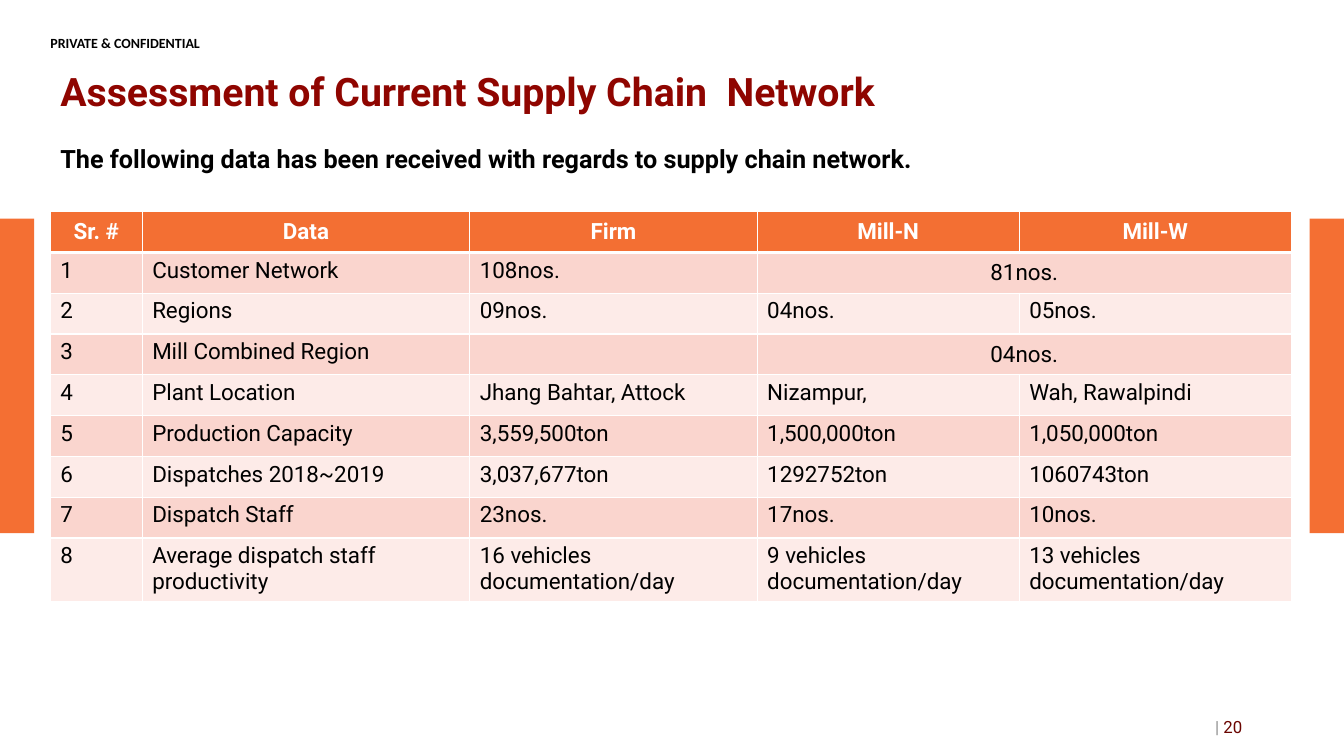
import pptx
import pptx.dml.color
import pptx.enum.shapes
import pptx.enum.text
import pptx.oxml
import pptx.oxml.ns
import pptx.util

RGB = pptx.dml.color.RGBColor
ALIGN = pptx.enum.text.PP_ALIGN
ANCHOR = pptx.enum.text.MSO_ANCHOR

ORANGE = RGB(0xF4, 0x6F, 0x33)
HEAD = RGB(0xF3, 0x6F, 0x33)
ROSE = RGB(0xFA, 0xD5, 0xCE)
BLUSH = RGB(0xFD, 0xEB, 0xE8)
MAROON = RGB(0x8F, 0x05, 0x00)
WINE = RGB(0x6A, 0x05, 0x00)
GREY = RGB(0x8C, 0x8C, 0x8C)
BLACK = RGB(0, 0, 0)
WHITE = RGB(0xFF, 0xFF, 0xFF)

LEFT = 3.75
WIDE = 92.27
COLS = [6.83, 24.38, 21.38, 19.5, 20.25]
ROW = 5.4
DATA = [
    ["Sr. #", "Data", "Firm", "Mill-N", "Mill-W"],
    ["1", "Customer Network", "108nos.", "81nos."],
    ["2", "Regions", "09nos.", "04nos.", "05nos."],
    ["3", "Mill Combined Region", "", "04nos."],
    ["4", "Plant Location", "Jhang Bahtar, Attock", "Nizampur,", "Wah, Rawalpindi"],
    ["5", "Production Capacity", "3,559,500ton", "1,500,000ton", "1,050,000ton"],
    ["6", "Dispatches 2018~2019", "3,037,677ton", "1292752ton", "1060743ton"],
    ["7", "Dispatch Staff", "23nos.", "17nos.", "10nos."],
    ["8", "Average dispatch staff productivity", "16 vehicles documentation/day",
     "9 vehicles documentation/day", "13 vehicles documentation/day"],
]


class Deck:
    """Holds the style and current slide; lengths are percent of the slide's size."""

    def __init__(self, face):
        self.face = face
        self.show = pptx.Presentation()
        self.show.slide_width = pptx.util.Inches(13.33)
        self.show.slide_height = pptx.util.Inches(7.5)
        self.slide = self.show.slides.add_slide(self.show.slide_layouts[6])

    def across(self, share):
        return round(self.show.slide_width * share / 100)

    def down(self, share):
        return round(self.show.slide_height * share / 100)

    def frame(self, left, top, wide, high):
        return self.across(left), self.down(top), self.across(wide), self.down(high)

    def style(self, para, size, color, bold=False, face=None):
        font = para.font
        font.name = face or self.face
        font.size = pptx.util.Pt(size)
        font.bold = bold
        font.color.rgb = color

    def bar(self, *area):
        kind = pptx.enum.shapes.MSO_SHAPE.RECTANGLE
        shape = self.slide.shapes.add_shape(kind, *self.frame(*area))
        shape.shadow.inherit = False
        shape.fill.solid()
        shape.fill.fore_color.rgb = ORANGE
        shape.line.fill.background()

    def text(self, area, words, size, color, bold=False, face=None,
             anchor=ANCHOR.TOP, pad=True, space=1.0):
        box = self.slide.shapes.add_textbox(*self.frame(*area)).text_frame
        box.word_wrap = True
        box.vertical_anchor = anchor
        if not pad:
            box.margin_left = box.margin_right = 0
            box.margin_top = box.margin_bottom = 0
        para = box.paragraphs[0]
        para.line_spacing = space
        if words:
            para.add_run().text = words
        self.style(para, size, color, bold, face)
        return para

    def page(self, area, number):
        para = self.text(area, "", 12, GREY, anchor=ANCHOR.MIDDLE)
        para.alignment = ALIGN.RIGHT
        for words, color in (("| ", GREY), (number, WINE)):
            run = para.add_run()
            run.text = words
            run.font.color.rgb = color

    def edge(self, cell, base):
        props = cell._tc.get_or_add_tcPr()
        space = pptx.oxml.ns.nsdecls("a")
        for place, side in enumerate("LRTB"):
            width = pptx.util.Pt(base if side == "B" else 1)
            props.insert(place, pptx.oxml.parse_xml(
                f'<a:ln{side} {space} w="{width}"><a:solidFill>'
                f'<a:srgbClr val="{WHITE}"/></a:solidFill></a:ln{side}>'))

    def cell(self, cell, words, fill, color, head, center):
        cell.fill.solid()
        cell.fill.fore_color.rgb = fill
        self.edge(cell, 3 if head else 1)
        para = cell.text_frame.paragraphs[0]
        if words:
            para.add_run().text = words
        if center:
            para.alignment = ALIGN.CENTER
            cell.vertical_anchor = ANCHOR.MIDDLE
        self.style(para, 16, color, head)

    def table(self, left, top, cols, high, data):
        area = self.frame(left, top, sum(cols), high * len(data))
        grid = self.slide.shapes.add_table(len(data), len(cols), *area).table
        grid.horz_banding = False
        for col, share in zip(grid.columns, cols):
            col.width = self.across(share)
        for r, line in enumerate(data):
            grid.rows[r].height = self.down(high)
            head = r == 0
            fill = HEAD if head else ROSE if r % 2 else BLUSH
            color = WHITE if head else BLACK
            last = len(line) - 1
            short = len(line) < len(cols)
            if short:
                grid.cell(r, last).merge(grid.cell(r, len(cols) - 1))
            for c, words in enumerate(line):
                center = head or (short and c == last)
                self.cell(grid.cell(r, c), words, fill, color, head, center)


def main():
    deck = Deck("Roboto")
    for left in (0, 97.45):
        deck.bar(left, 28.93, 2.55, 41.6)
    deck.text((LEFT, 4.53, 18.98, 1.6), "PRIVATE & CONFIDENTIAL", 10, BLACK,
              bold=True, face="Calibri", pad=False)
    deck.text((LEFT, 7.73, 81.55, 9.47), "Assessment of Current Supply Chain  Network",
              28, MAROON, bold=True, anchor=ANCHOR.MIDDLE, space=0.9)
    deck.text((LEFT, 18.8, WIDE, 73.6),
              "The following data has been received with regards to supply chain network.",
              18, BLACK, bold=True, space=0.9)
    deck.page((70.67, 93.47, 22.5, 5.33), "20")
    deck.table(LEFT, 28, COLS, ROW, DATA)
    deck.show.save("out.pptx")


if __name__ == "__main__":
    main()
